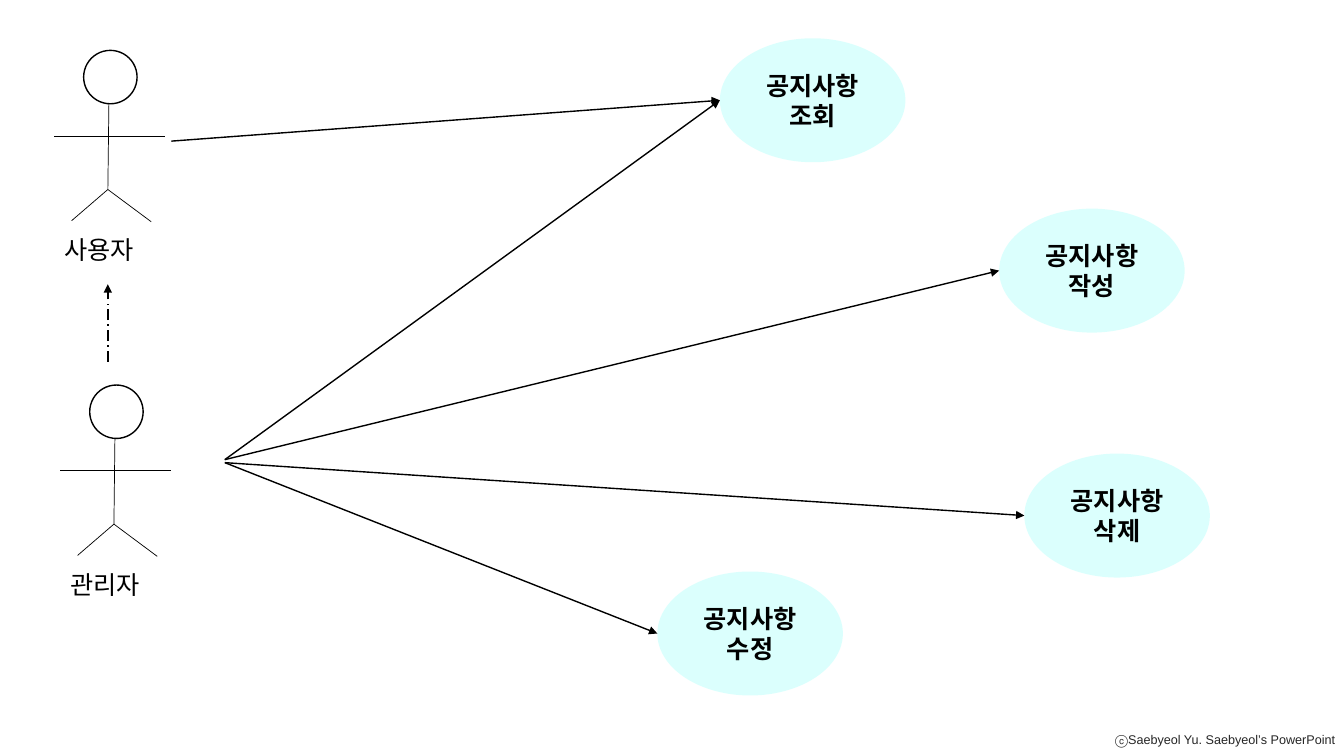
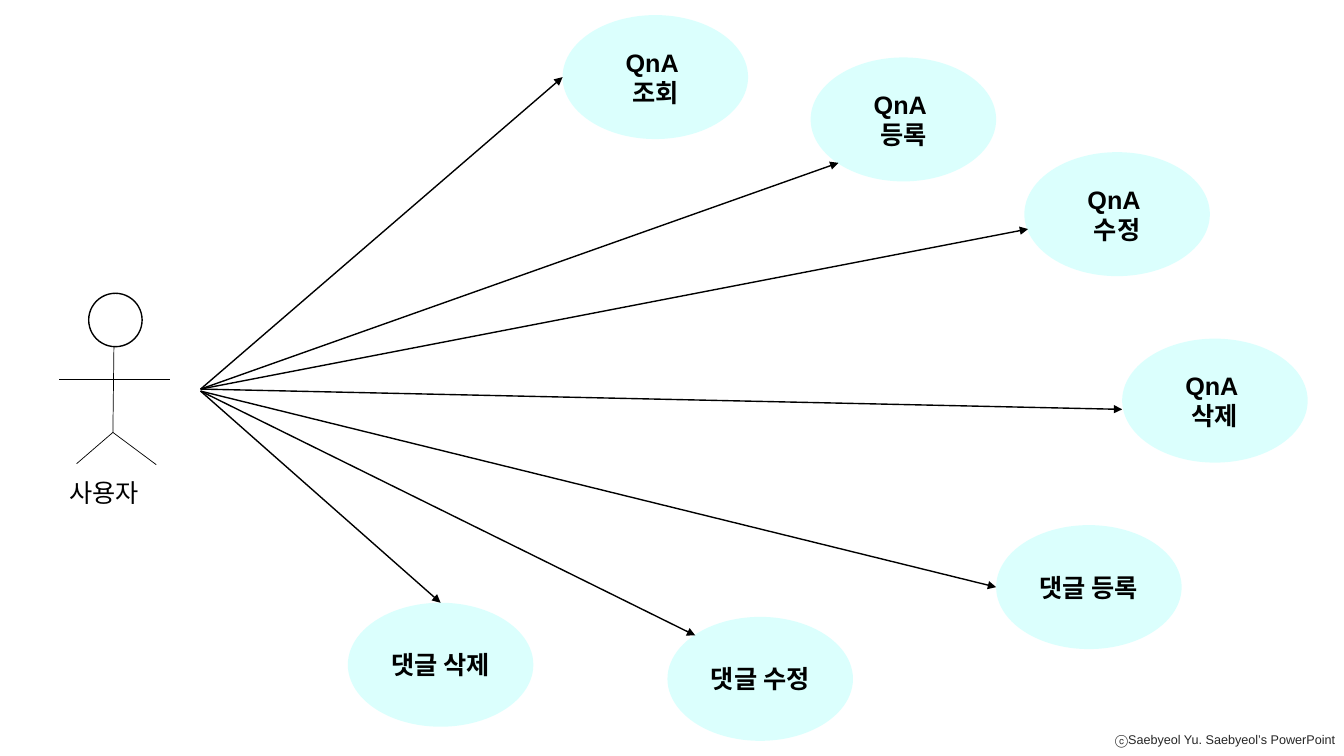
import pptx
import pptx.dml.color
import pptx.enum.dml
import pptx.enum.shapes
import pptx.enum.text
import pptx.oxml.ns
import pptx.util
import lxml.etree

FONT = "Arial"
INK, FOOTER_INK, PAPER, BUBBLE = "000000", "262626", "FFFFFF", "BDFFFD"
BUBBLE_OPACITY = 54
BUBBLE_W, BUBBLE_H = 1.84, 1.23
FOOTER = "ⓒSaebyeol Yu. Saebyeol’s PowerPoint"

LEFT, TOP = (0, 0.5), (0.5, 0)
TOP_LEFT, BOTTOM_LEFT = (0.15, 0.15), (0.15, 0.85)

HEAD_X, HEAD_SIZE = 0.29, 0.53
LABEL_Y, LABEL_W, LABEL_H = 1.78, 1.1, 0.4
HIP = (0.53, 1.38)
LIMBS = [
    ((0.54, 0.53), HIP),
    ((0, 0.85), (1.1, 0.85)),
    (HIP, (0.17, 1.69)),
    (HIP, (0.96, 1.7)),
]

USER_HAND = (1.7, 1.4)
ADMIN_UPPER, ADMIN_LOWER = (2.23, 4.56), (2.23, 4.59)
ASKER_UPPER, ASKER_LOWER = (1.99, 3.86), (1.99, 3.88)

DIAGRAMS = [
    {
        "actors": [("사용자", 0.54, 0.5), ("관리자", 0.6, 3.82)],
        "inherits": [((1.07, 3.59), (1.07, 2.82))],
        "use_cases": [
            ("공지사항 조회", 7.14, 0.38, LEFT, [USER_HAND, ADMIN_UPPER]),
            ("공지사항 작성", 9.91, 2.07, LEFT, [ADMIN_UPPER]),
            ("공지사항 삭제", 10.16, 4.5, LEFT, [ADMIN_LOWER]),
            ("공지사항 수정", 6.52, 5.67, LEFT, [ADMIN_LOWER]),
        ],
    },
    {
        "actors": [("사용자", 0.59, 2.91)],
        "inherits": [],
        "use_cases": [
            ("QnA \n조회", 5.58, 0.15, LEFT, [ASKER_UPPER]),
            ("QnA \n등록", 8.04, 0.57, BOTTOM_LEFT, [ASKER_UPPER]),
            ("QnA \n수정", 10.16, 1.51, (0.02, 0.62), [ASKER_UPPER]),
            ("QnA \n삭제", 11.13, 3.36, (0, 0.57), [ASKER_UPPER]),
            ("댓글 등록", 9.88, 5.21, LEFT, [ASKER_LOWER]),
            ("댓글 수정", 6.62, 6.12, TOP_LEFT, [ASKER_LOWER]),
            ("댓글 삭제", 3.45, 5.98, TOP, [ASKER_LOWER]),
        ],
    },
]


def color(code):
    return pptx.dml.color.RGBColor.from_string(code)


def inches(*lengths):
    return [pptx.util.Inches(length) for length in lengths]


def write(shape, text, size, ink=INK, bold=False, align=None):
    shape.text_frame.text = text
    for paragraph in shape.text_frame.paragraphs:
        paragraph.alignment = align
        for run in paragraph.runs:
            run.font.name = FONT
            run.font.size = pptx.util.Pt(size)
            run.font.bold = bold
            run.font.color.rgb = color(ink)


def add_label(shapes, text, box, size, wrap=True, **style):
    label = shapes.add_textbox(*inches(*box))
    write(label, text, size, **style)
    label.text_frame.word_wrap = wrap
    label.text_frame.auto_size = pptx.enum.text.MSO_AUTO_SIZE.SHAPE_TO_FIT_TEXT
    return label


def add_line(shapes, start, end, width, arrow=False, dashed=False):
    line = shapes.add_connector(
        pptx.enum.shapes.MSO_CONNECTOR.STRAIGHT, *inches(*start, *end))
    line.line.color.rgb = color(INK)
    line.line.width = pptx.util.Pt(width)
    if dashed:
        line.line.dash_style = pptx.enum.dml.MSO_LINE.LONG_DASH_DOT
    if arrow:
        lxml.etree.SubElement(line.line._get_or_add_ln(),
                              pptx.oxml.ns.qn("a:tailEnd"), type="triangle")
    lxml.etree.SubElement(line._element.spPr, pptx.oxml.ns.qn("a:effectLst"))


def add_ellipse(shapes, box, fill):
    ellipse = shapes.add_shape(pptx.enum.shapes.MSO_SHAPE.OVAL, *inches(*box))
    ellipse.shadow.inherit = False
    ellipse.fill.solid()
    ellipse.fill.fore_color.rgb = color(fill)
    return ellipse


def add_actor(slide, name, x, y):
    figure = slide.shapes.add_group_shape().shapes
    for (x1, y1), (x2, y2) in LIMBS:
        add_line(figure, (x + x1, y + y1), (x + x2, y + y2), 0.5)
    head = add_ellipse(figure, (x + HEAD_X, y, HEAD_SIZE, HEAD_SIZE), PAPER)
    head.line.color.rgb = color(INK)
    head.line.width = pptx.util.Pt(1)
    add_label(figure, name, (x, y + LABEL_Y, LABEL_W, LABEL_H), 18)


def add_use_case(slide, name, x, y, target, starts):
    bubble = add_ellipse(slide.shapes, (x, y, BUBBLE_W, BUBBLE_H), BUBBLE)
    bubble.line.fill.background()
    tint = bubble._element.spPr.find(".//" + pptx.oxml.ns.qn("a:srgbClr"))
    lxml.etree.SubElement(tint, pptx.oxml.ns.qn("a:alpha"),
                          val=str(BUBBLE_OPACITY * 1000))
    write(bubble, name, 18, bold=True, align=pptx.enum.text.PP_ALIGN.CENTER)
    bubble.text_frame.word_wrap = True
    bubble.text_frame.vertical_anchor = pptx.enum.text.MSO_ANCHOR.MIDDLE
    tip = (x + target[0] * BUBBLE_W, y + target[1] * BUBBLE_H)
    for start in starts:
        add_line(slide.shapes, start, tip, 1, arrow=True)


def move_footer_to_layout(slide):
    footer = add_label(slide.shapes, FOOTER, (10.94, 7.21, 2.4, 0.25), 9,
                       wrap=False, ink=FOOTER_INK,
                       align=pptx.enum.text.PP_ALIGN.RIGHT)
    footer._element.nvSpPr.cNvPr.set("id", "99")
    slide.slide_layout.shapes._spTree.append(footer._element)


def main():
    deck = pptx.Presentation()
    deck.slide_width, deck.slide_height = inches(13.33, 7.5)
    blank = deck.slide_layouts[6]
    for number, diagram in enumerate(DIAGRAMS):
        slide = deck.slides.add_slide(blank)
        if number == 0:
            move_footer_to_layout(slide)
        for actor in diagram["actors"]:
            add_actor(slide, *actor)
        for start, end in diagram["inherits"]:
            add_line(slide.shapes, start, end, 1, arrow=True, dashed=True)
        for use_case in diagram["use_cases"]:
            add_use_case(slide, *use_case)
    deck.save("out.pptx")


if __name__ == "__main__":
    main()
